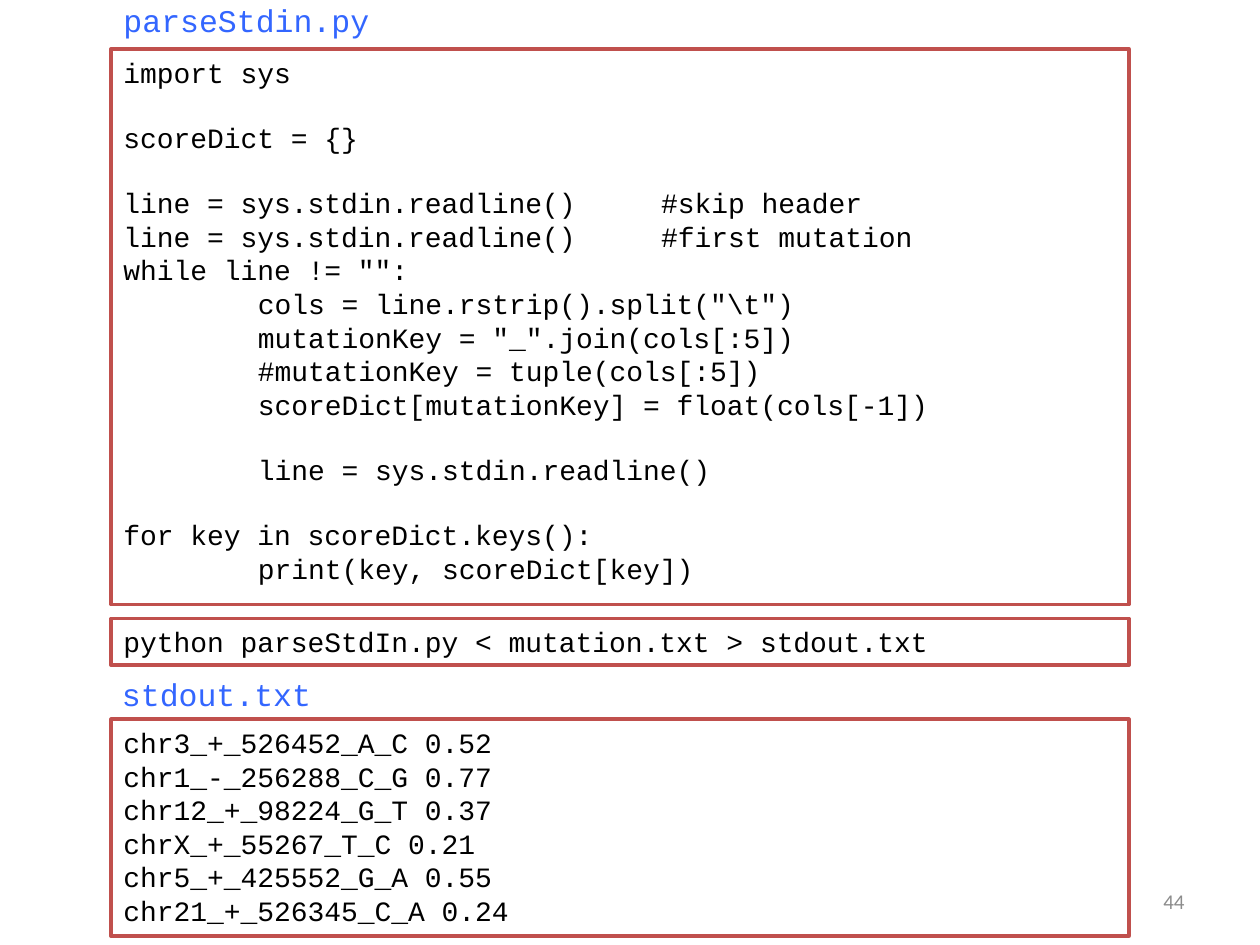
from dataclasses import dataclass

from lxml import etree
from pptx import Presentation
from pptx import util as u
from pptx.dml.color import RGBColor
from pptx.enum import shapes, text
from pptx.oxml.ns import qn


@dataclass(frozen=True)
class Theme:
    ink: str = "000000"
    paper: str = "FFFFFF"
    frame: str = "C0504D"
    file_name: str = "3366FF"
    muted: str = "8C8C8C"
    code_font: str = "Courier New"
    number_font: str = "Calibri"
    code_size: int = 16
    file_size: int = 18
    number_size: int = 12
    frame_width: int = 2
    blank_line: float = 18.1
    indent: float = 2.71
    comment_stop: float = 10.84


class SlideWriter:
    def __init__(self, slide, theme):
        self.slide = slide
        self.theme = theme

    def add_run(self, paragraph, words, font, size, color):
        run = paragraph.add_run()
        run.text = words
        run.font.name = font
        run.font.size = u.Pt(size)
        run.font.color.rgb = RGBColor.from_string(color)

    def code_line(self, paragraph, level, code, comment, gap):
        theme = self.theme
        paragraph.alignment = text.PP_ALIGN.LEFT
        if gap:
            paragraph.space_before = u.Pt(theme.blank_line)
        properties = paragraph._p.get_or_add_pPr()
        if level:
            properties.set("marL", str(u.Cm(level * theme.indent)))
            properties.set("indent", "0")
        style = theme.code_font, theme.code_size, theme.ink
        self.add_run(paragraph, code, *style)
        if comment:
            stops = etree.SubElement(properties, qn("a:tabLst"))
            etree.SubElement(stops, qn("a:tab"), algn="l",
                             pos=str(u.Cm(theme.comment_stop)))
            self.add_run(paragraph, "\t" + comment, *style)

    def code_panel(self, left, top, width, height, blocks):
        theme = self.theme
        panel = self.slide.shapes.add_shape(
            shapes.MSO_SHAPE.RECTANGLE,
            u.Cm(left), u.Cm(top), u.Cm(width), u.Cm(height))
        panel.shadow.inherit = False
        panel.fill.solid()
        panel.fill.fore_color.rgb = RGBColor.from_string(theme.paper)
        panel.line.color.rgb = RGBColor.from_string(theme.frame)
        panel.line.width = u.Pt(theme.frame_width)
        frame = panel.text_frame
        frame.word_wrap = True
        frame.auto_size = text.MSO_AUTO_SIZE.SHAPE_TO_FIT_TEXT
        frame.vertical_anchor = text.MSO_ANCHOR.TOP
        for block_index, block in enumerate(blocks):
            for line_index, (level, code, comment) in enumerate(block):
                first = block_index == line_index == 0
                paragraph = frame.paragraphs[0] if first else frame.add_paragraph()
                gap = block_index > 0 and line_index == 0
                self.code_line(paragraph, level, code, comment, gap)

    def file_label(self, left, top, width, height, name):
        label = self.slide.shapes.add_textbox(
            u.Cm(left), u.Cm(top), u.Cm(width), u.Cm(height))
        frame = label.text_frame
        frame.word_wrap = False
        frame.auto_size = text.MSO_AUTO_SIZE.SHAPE_TO_FIT_TEXT
        self.add_run(frame.paragraphs[0], name, self.theme.code_font,
                     self.theme.file_size, self.theme.file_name)

    def page_number(self, left, top, width, height, number):
        corner = self.slide.shapes.add_textbox(
            u.Cm(left), u.Cm(top), u.Cm(width), u.Cm(height))
        frame = corner.text_frame
        frame.word_wrap = True
        frame.vertical_anchor = text.MSO_ANCHOR.MIDDLE
        frame.paragraphs[0].alignment = text.PP_ALIGN.RIGHT
        self.add_run(frame.paragraphs[0], number, self.theme.number_font,
                     self.theme.number_size, self.theme.muted)


SCRIPT = [
    [(0, "import sys", "")],
    [(0, "scoreDict = {}", "")],
    [
        (0, "line = sys.stdin.readline()", "#skip header"),
        (0, "line = sys.stdin.readline()", "#first mutation"),
        (0, 'while line != "":', ""),
        (1, r'cols = line.rstrip().split("\t")', ""),
        (1, 'mutationKey = "_".join(cols[:5])', ""),
        (1, "#mutationKey = tuple(cols[:5])", ""),
        (1, "scoreDict[mutationKey] = float(cols[-1])", ""),
    ],
    [(1, "line = sys.stdin.readline()", "")],
    [
        (0, "for key in scoreDict.keys():", ""),
        (1, "print(key, scoreDict[key])", ""),
    ],
]
COMMAND = [[(0, "python parseStdIn.py < mutation.txt > stdout.txt", "")]]
SCORES = [
    "chr3_+_526452_A_C 0.52",
    "chr1_-_256288_C_G 0.77",
    "chr12_+_98224_G_T 0.37",
    "chrX_+_55267_T_C 0.21",
    "chr5_+_425552_G_A 0.55",
    "chr21_+_526345_C_A 0.24",
]


def main():
    deck = Presentation()
    deck.slide_width, deck.slide_height = u.Cm(25.4), u.Cm(19.05)
    writer = SlideWriter(deck.slides.add_slide(deck.slide_layouts[6]), Theme())
    left, width = 2.24, 20.52
    writer.code_panel(left, 0.99, width, 11.2, SCRIPT)
    writer.file_label(left, -0.1, 5.54, 1.02, "parseStdin.py")
    writer.code_panel(left, 12.47, width, 0.94, COMMAND)
    writer.code_panel(left, 14.5, width, 4.37,
                      [[(0, score, "") for score in SCORES]])
    writer.file_label(2.21, 13.49, 4.37, 1.02, "stdout.txt")
    writer.page_number(18.21, 17.65, 5.92, 1.02, "44")
    deck.save("out.pptx")


if __name__ == "__main__":
    main()
